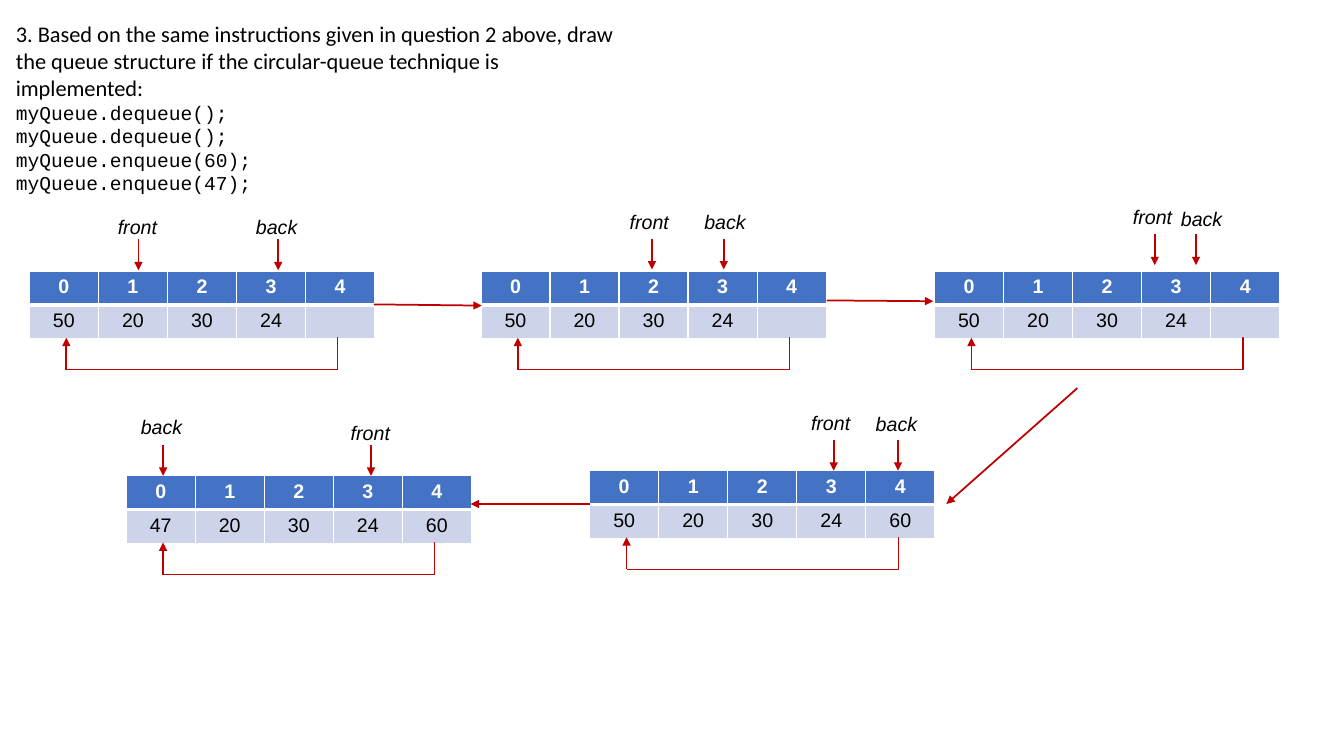
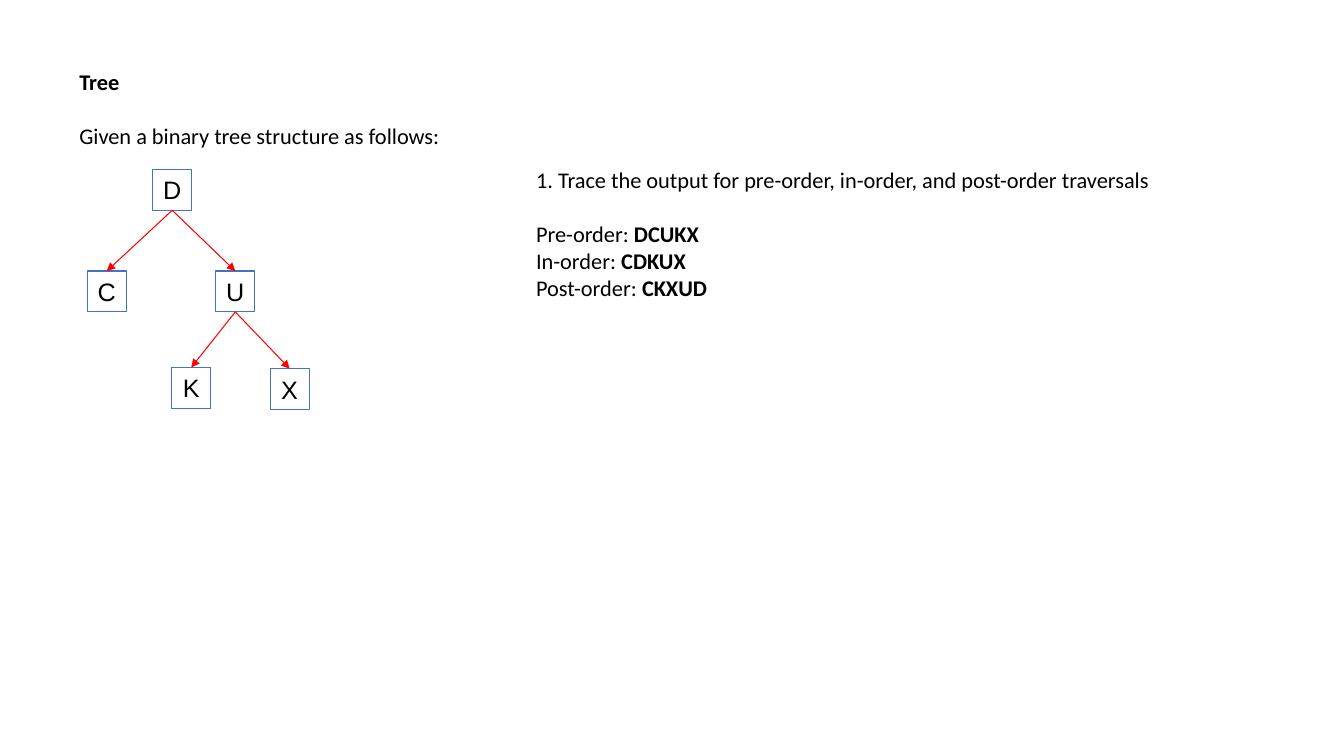
from lxml import etree
from pptx import Presentation
from pptx.dml.color import RGBColor
from pptx.enum.shapes import MSO_CONNECTOR, MSO_SHAPE
from pptx.enum.text import MSO_ANCHOR, MSO_AUTO_SIZE, PP_ALIGN
from pptx.oxml.ns import qn
from pptx.util import Cm, Pt

STRAIGHT, ELBOW = MSO_CONNECTOR.STRAIGHT, MSO_CONNECTOR.ELBOW
RECT = MSO_SHAPE.RECTANGLE
CENTER = PP_ALIGN.CENTER
MIDDLE = MSO_ANCHOR.MIDDLE
GROW = MSO_AUTO_SIZE.SHAPE_TO_FIT_TEXT
BOTTOM, TOP = 2, 0

BLACK, WHITE = "000000", "FFFFFF"
BLUE, PALE_BLUE = "4472C4", "CDD4EA"
DARK_RED, RED = "C00000", "FF0000"
BODY, LABEL, CODE = "Calibri", "Arial", "Courier New"

COL_W, ROW_H = 1.74, 0.85
LOOP_X, LOOP_Y, LOOP_W, LOOP_H = 0.93, 1.68, 6.84, 0.81
POINTER_H = 0.78

QUEUES = [
    (0.74, 6.83, ["50", "20", "30", "24", ""], 6.81,
     [("front", 2.72, 5.28, 3.49), ("back", 6.2, 5.28, 7.01)]),
    (12.12, 6.83, ["50", "20", "30", "24", ""], 6.79,
     [("front", 15.62, 5.16, 16.43), ("back", 17.5, 5.16, 18.24)]),
    (23.55, 6.83, ["50", "20", "30", "24", ""], 6.68,
     [("front", 28.3, 5.03, 29.1), ("back", 29.51, 5.08, 30.14)]),
    (14.86, 11.86, ["50", "20", "30", "24", "60"], 11.86,
     [("front", 20.19, 10.24, 21.01), ("back", 21.82, 10.26, 22.63)]),
    (3.18, 11.99, ["47", "20", "30", "24", "60"], 11.99,
     [("front", 8.59, 10.49, 9.35), ("back", 3.3, 10.34, 4.11)]),
]
STEPS = [(9.42, 7.67, 12.14, 7.7), (20.83, 7.57, 23.52, 7.59),
         (27.15, 9.78, 23.85, 12.7), (14.86, 12.7, 11.86, 12.7)]
NODES = {"D": (3.85, 4.27), "C": (2.2, 6.83), "U": (5.44, 6.83),
         "K": (4.33, 9.26), "X": (6.81, 9.29)}
EDGES = ["DC", "DU", "UK", "UX"]
TRAVERSALS = [("Pre-order: ", "DCUKX"), ("In-order: ", "CDKUX"),
              ("Post-order: ", "CKXUD")]


def rgb(color):
    """Turn a hex string into a colour."""
    return RGBColor.from_string(color)


def write(p, text, size=16, font=BODY, color=BLACK, bold=False, italic=False):
    """Append a formatted run to a paragraph."""
    r = p.add_run()
    r.text = text
    r.font.size = Pt(size)
    r.font.name = font
    r.font.color.rgb = rgb(color)
    r.font.bold = bold
    r.font.italic = italic


def add_textbox(s, x, y, w, h):
    """Add a wrapping text box and return its text frame."""
    tf = s.shapes.add_textbox(Cm(x), Cm(y), Cm(w), Cm(h)).text_frame
    tf.word_wrap = True
    tf.auto_size = GROW
    return tf


def add_line(s, x1, y1, x2, y2, color=DARK_RED, width=1.25, kind=STRAIGHT, arrow=True):
    """Add a connector, with an arrowhead unless told otherwise."""
    c = s.shapes.add_connector(kind, Cm(x1), Cm(y1), Cm(x2), Cm(y2))
    c.line.color.rgb = rgb(color)
    c.line.width = Pt(width)
    if arrow:
        etree.SubElement(c.line._get_or_add_ln(), qn("a:tailEnd"), type="triangle")
    etree.SubElement(c._element.spPr, qn("a:effectLst"))
    return c


def add_borders(cell, **widths):
    """Give a cell white borders of the named widths."""
    tcPr = cell._tc.get_or_add_tcPr()
    for side in "LRTB":
        ln = etree.SubElement(tcPr, qn("a:ln" + side), w=str(Pt(widths.get(side, 1))))
        fill = etree.SubElement(ln, qn("a:solidFill"))
        etree.SubElement(fill, qn("a:srgbClr"), val=WHITE)


def fill_cell(cell, text, fill, borders, **fmt):
    """Set the borders, fill and centred text of a cell."""
    add_borders(cell, **borders)
    cell.fill.solid()
    cell.fill.fore_color.rgb = rgb(fill)
    p = cell.text_frame.paragraphs[0]
    p.alignment = CENTER
    if text:
        write(p, text, size=14, font=LABEL, **fmt)
    else:
        p._p.get_or_add_endParaRPr().set("sz", "1400")


def add_array(s, x, y, values):
    """Add a table of indexes above their values."""
    n = len(values)
    table = s.shapes.add_table(2, n, Cm(x), Cm(y), Cm(n * COL_W), Cm(2 * ROW_H)).table
    for row in table.rows:
        row.height = Cm(ROW_H)
    for i, value in enumerate(values):
        table.columns[i].width = Cm(COL_W)
        fill_cell(table.cell(0, i), str(i), BLUE, {"B": 3}, color=WHITE, bold=True)
        fill_cell(table.cell(1, i), value, PALE_BLUE, {"T": 3})


def add_loop(s, x, y):
    """Add the path from the last cell back to the first."""
    bottom = y + LOOP_H
    c = add_line(s, x, bottom, x + LOOP_W, y, width=0.75, kind=ELBOW, arrow=False)
    av = c._element.spPr.find(qn("a:prstGeom")).get_or_add_avLst()
    etree.SubElement(av, qn("a:gd"), name="adj1", fmla="val 100100")
    add_line(s, x, bottom, x, y)


def add_queue(s, x, y, values, tip, pointers):
    """Add one queue state with its loop and pointers."""
    add_array(s, x, y, values)
    add_loop(s, x + LOOP_X, y + LOOP_Y)
    for name, left, top, arrow_x in pointers:
        tf = add_textbox(s, left, top, 1.65, 0.85)
        write(tf.paragraphs[0], name, size=14, font=LABEL, italic=True)
        add_line(s, arrow_x, tip - POINTER_H, arrow_x, tip)


def add_node(s, letter, x, y):
    """Add a tree node."""
    sp = s.shapes.add_shape(RECT, Cm(x), Cm(y), Cm(0.98), Cm(1.03))
    sp.shadow.inherit = False
    sp.fill.background()
    sp.line.color.rgb = rgb(BLUE)
    sp.line.width = Pt(0.75)
    tf = sp.text_frame
    tf.word_wrap = False
    tf.vertical_anchor = MIDDLE
    tf.paragraphs[0].alignment = CENTER
    write(tf.paragraphs[0], letter, size=18, font=LABEL)
    return sp


def add_edge(s, parent, child):
    """Join a parent node to its child."""
    c = add_line(s, 0, 0, 1, 1, color=RED, width=0.75)
    c.begin_connect(parent, BOTTOM)
    c.end_connect(child, TOP)


def build_queue_slide(s):
    """Build the circular queue slide."""
    tf = add_textbox(s, 0.15, 0.38, 15.95, 4.7)
    write(tf.paragraphs[0], "3. Based on the same instructions given in question 2 above, "
          "draw the queue structure if the circular-queue technique is implemented:")
    for call in ["dequeue()", "dequeue()", "enqueue(60)", "enqueue(47)"]:
        write(tf.add_paragraph(), f"myQueue.{call};", size=14, font=CODE)
    for queue in QUEUES:
        add_queue(s, *queue)
    for step in STEPS:
        add_line(s, *step)


def build_tree_slide(s):
    """Build the binary tree slide."""
    tf = add_textbox(s, 1.75, 1.6, 28.83, 2.31)
    write(tf.paragraphs[0], "Tree", bold=True)
    p = tf.add_paragraph()
    p.space_before = Pt(19.5)
    write(p, "Given a binary tree structure as follows:")

    nodes = {letter: add_node(s, letter, *at) for letter, at in NODES.items()}
    for parent, child in EDGES:
        add_edge(s, nodes[parent], nodes[child])

    tf = add_textbox(s, 13.26, 4.06, 20.29, 5.05)
    write(tf.paragraphs[0],
          "1. Trace the output for pre-order, in-order, and post-order traversals")
    for i, (name, output) in enumerate(TRAVERSALS):
        p = tf.add_paragraph()
        p.space_before = Pt(0 if i else 19.5)
        write(p, name)
        write(p, output, bold=True)


def main():
    """Build and save the presentation."""
    prs = Presentation()
    prs.slide_width, prs.slide_height = Cm(33.87), Cm(19.05)
    for build in (build_queue_slide, build_tree_slide):
        build(prs.slides.add_slide(prs.slide_layouts[6]))
    prs.save("out.pptx")


if __name__ == "__main__":
    main()
